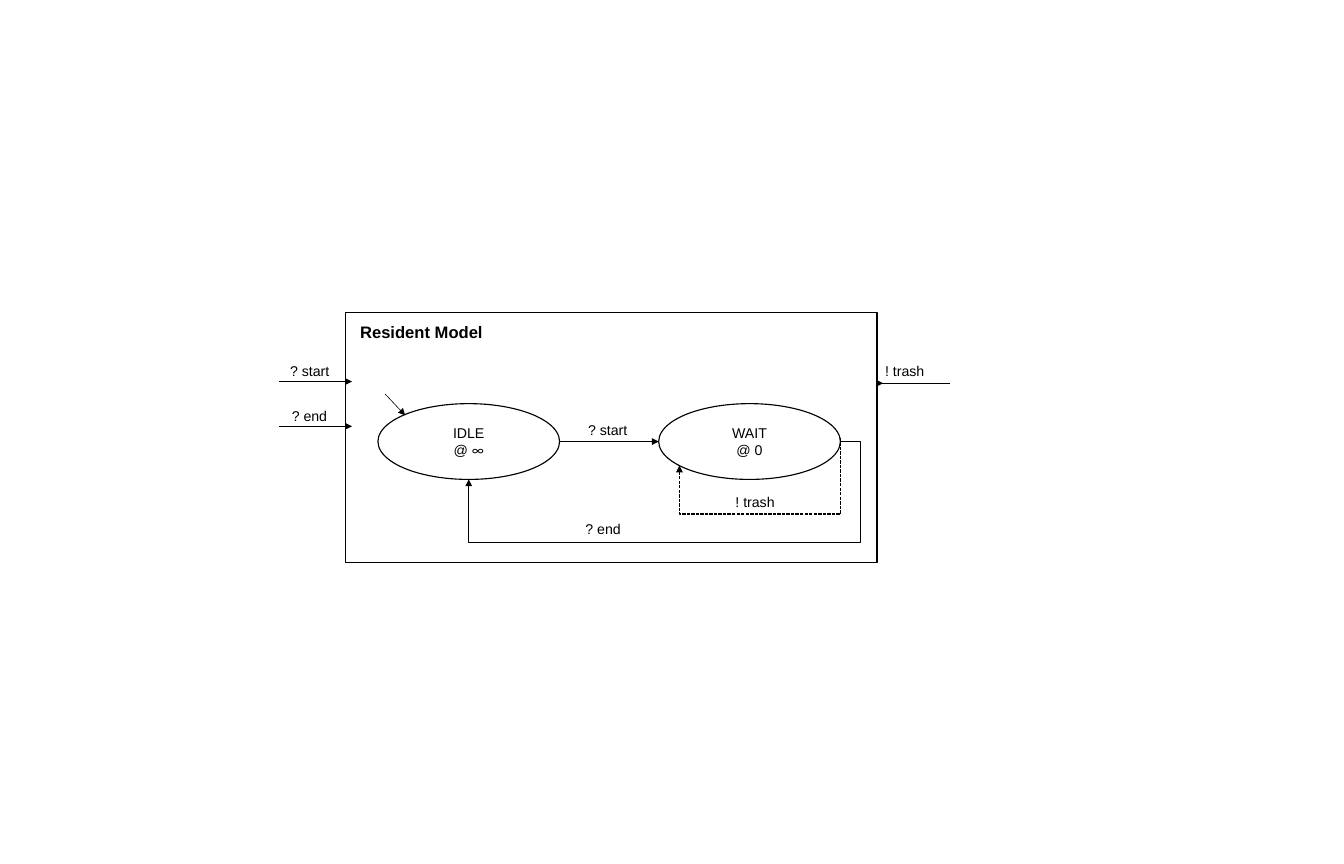
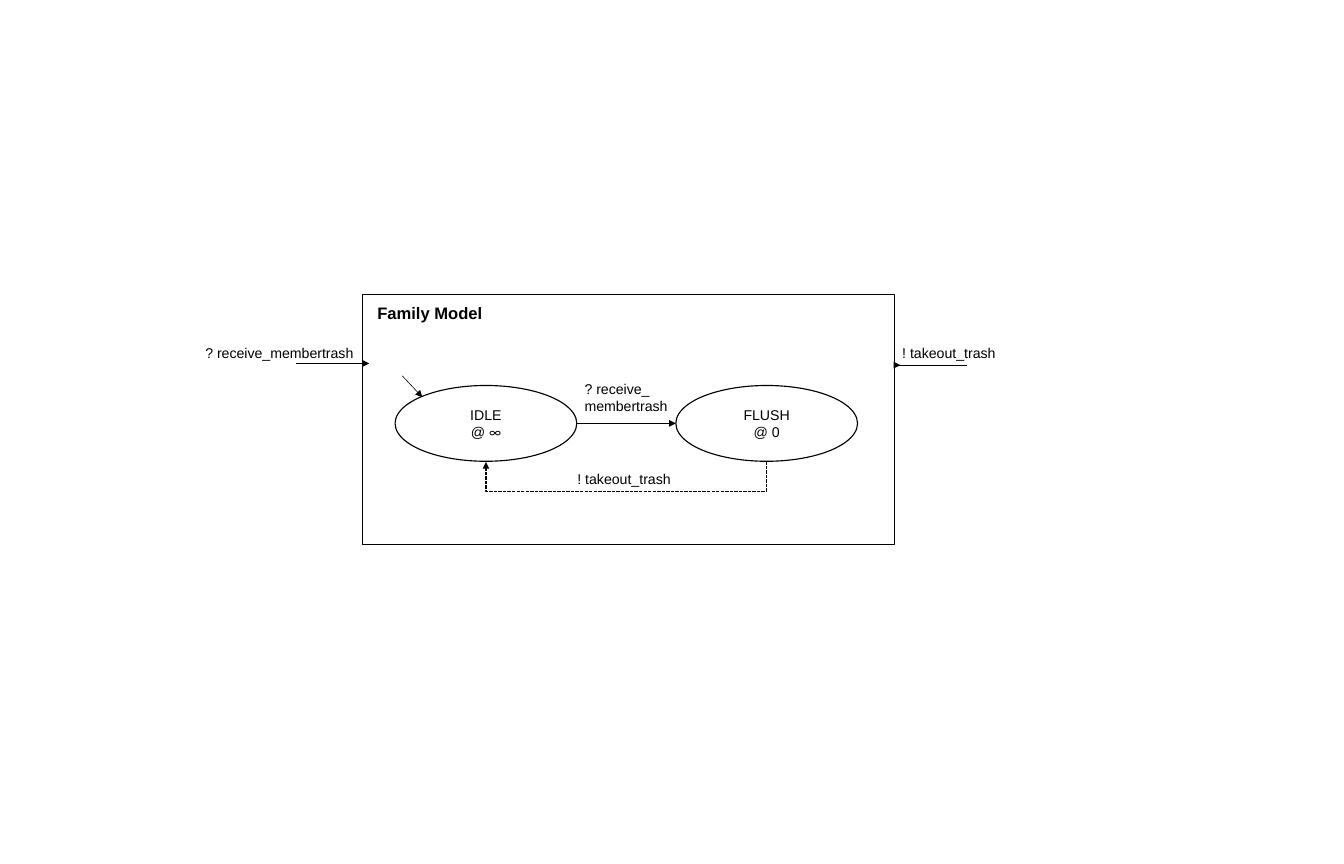
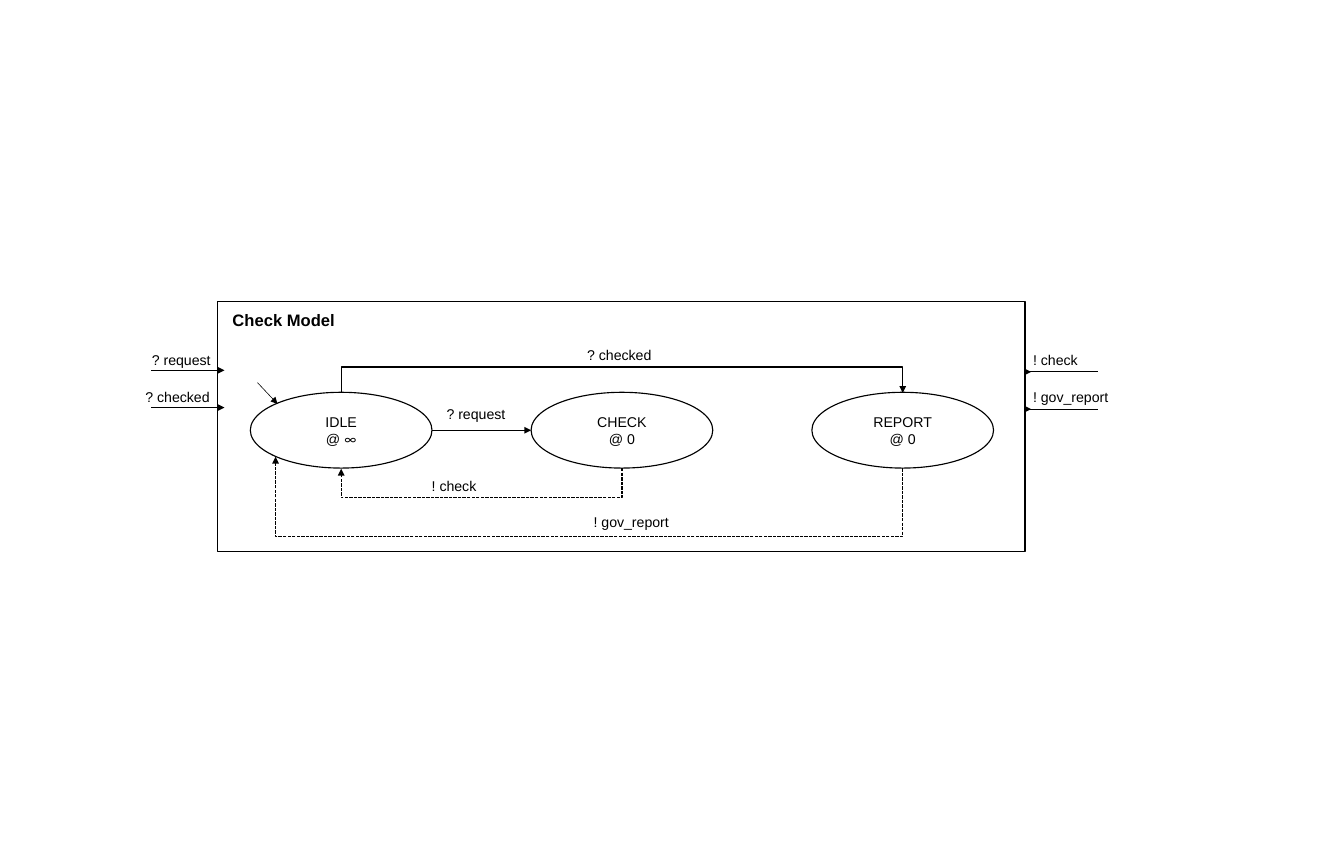
import pptx
import pptx.util
import pptx.dml.color
import pptx.enum.dml
import pptx.enum.shapes
import pptx.enum.text
import pptx.oxml.ns
import pptx.oxml.xmlchemy

Cm = pptx.util.Cm
Pt = pptx.util.Pt
SHAPE = pptx.enum.shapes.MSO_SHAPE
WIRE = pptx.enum.shapes.MSO_CONNECTOR
ALIGN = pptx.enum.text.PP_ALIGN

COLORS = {"ink": "000000", "paper": "FFFFFF"}
FONT = "Arial"
MATH = "Calibri"
BODY = 12.4
HEAD = 14.5
HIGH = 7.72
OVAL = (5.61, 2.34)
FIRST = (1, 2.81)
PITCH = 8.67
PORT = 2.13


def tint(name):
    return pptx.dml.color.RGBColor.from_string(COLORS[name])


def node(tag):
    return pptx.oxml.xmlchemy.OxmlElement(tag)


def style(par, size=BODY, bold=False):
    par.font.name = FONT
    par.font.size = Pt(size)
    par.font.bold = bold
    par.font.color.rgb = tint("ink")


def label(slide, box, text, size=BODY, bold=False):
    area = slide.shapes.add_textbox(*map(Cm, box)).text_frame
    area.word_wrap = True
    area.text = text
    for par in area.paragraphs:
        style(par, size, bold)


def solid(slide, kind, box, fill=None):
    shape = slide.shapes.add_shape(kind, *map(Cm, box))
    shape.shadow.inherit = False
    if fill:
        shape.fill.solid()
        shape.fill.fore_color.rgb = tint(fill)
    else:
        shape.fill.background()
    shape.line.color.rgb = tint("ink")
    shape.line.width = Pt(1)
    return shape


def wire(slide, start, end, kind=WIRE.STRAIGHT, head=True, dash=False, width=1):
    link = slide.shapes.add_connector(kind, *map(Cm, (*start, *end)))
    link.line.color.rgb = tint("ink")
    link.line.width = Pt(width)
    if dash:
        link.line.dash_style = pptx.enum.dml.MSO_LINE.SQUARE_DOT
    if head:
        tip = node("a:tailEnd")
        tip.set("type", "triangle")
        link.get_or_add_ln().append(tip)
    link.element.spPr.append(node("a:effectLst"))
    return link


def bend(link, kind, ratios, turn=0):
    props = link.element.spPr
    if turn:
        props.find(pptx.oxml.ns.qn("a:xfrm")).set("rot", str(turn * 60000))
    geom = props.find(pptx.oxml.ns.qn("a:prstGeom"))
    geom.set("prst", kind)
    marks = geom.find(pptx.oxml.ns.qn("a:avLst"))
    for num, ratio in enumerate(ratios, 1):
        guide = node("a:gd")
        guide.set("name", f"adj{num}")
        guide.set("fmla", f"val {round(ratio * 100000)}")
        marks.append(guide)


def bridge(slide, start, end, rail, dash=False):
    (x1, y1), (x2, y2) = start, end
    if y1 == y2:
        y2 += 0.02
    rise, span = abs(y2 - y1), abs(x2 - x1)
    left, top = (x1 + x2 - rise) / 2, (y1 + y2 - span) / 2
    near, far = left, left + rise
    if (x2 > x1) == (y2 > y1):
        near, far = far, near
    link = wire(slide, (near, top), (far, top + span), WIRE.ELBOW, dash=dash)
    bend(link, "bentConnector3", [(rail - y1) / (y2 - y1)], 270 if x2 > x1 else 90)


def loop(slide, start, end, out, rail, dash=False):
    (x1, y1), (x2, y2) = start, end
    link = wire(slide, start, end, WIRE.ELBOW, dash=dash)
    bend(link, "bentConnector4", [(out - x1) / (x2 - x1), (rail - y1) / (y2 - y1)])


def top(box):
    return box[0] + box[2] / 2, box[1]


def base(box):
    return box[0] + box[2] / 2, box[1] + box[3]


def left(box):
    return box[0], box[1] + box[3] / 2


def right(box):
    return box[0] + box[2], box[1] + box[3] / 2


def state(slide, box, name, hold):
    area = solid(slide, SHAPE.OVAL, box, "paper").text_frame
    area.vertical_anchor = pptx.enum.text.MSO_ANCHOR.MIDDLE
    area.text = name
    line = area.add_paragraph()
    line.add_run().text = "@ "
    sign = line.add_run()
    sign.text = hold
    if hold == "∞":
        sign.font.name = MATH
    for par in area.paragraphs:
        style(par)
        par.alignment = ALIGN.CENTER


def inputs(slide, box, ports):
    x, y = box[:2]
    for text, width, drop in ports:
        wire(slide, (x - 2.06, y + drop), (x + 0.2, y + drop))
        label(slide, (x + 0.05 - width, y + drop - 0.71, width + 0.1, 0.8), text)


def outputs(slide, box, ports):
    x, y = box[0] + box[2], box[1]
    for text, drop in ports:
        wire(slide, (x, y + drop), (x + 0.19, y + drop))
        wire(slide, (x, y + drop), (x + 2.26, y + drop), head=False)
        label(slide, (x, y + drop - 0.76, 3.56, 0.8), text)


def model(slide, box, title, states, ins, outs, notes):
    x, y = box[:2]
    solid(slide, SHAPE.RECTANGLE, box)
    label(slide, (x + 0.2, y + 0.15, 4.83, 0.91), title, HEAD, True)
    inputs(slide, box, ins)
    outputs(slide, box, outs)
    ovals = [(x + FIRST[0] + PITCH * num, y + FIRST[1], *OVAL)
             for num in range(len(states))]
    for oval, (name, hold) in zip(ovals, states):
        state(slide, oval, name, hold)
    wire(slide, (x + 1.22, y + 2.51), (x + 1.84, y + 3.17), width=0.5)
    wire(slide, right(ovals[0]), left(ovals[1]))
    for text, dx, dy, width in notes:
        label(slide, (x + dx, y + dy, width, 0.8), text)
    return ovals


def resident(slide, x, y):
    idle, wait = model(
        slide, (x, y, 16.41, HIGH), "Resident Model",
        [("IDLE", "∞"), ("WAIT", "0")],
        [("? start", 2.01, PORT), ("? end", 1.96, 3.51)],
        [("! trash", 2.18)],
        [("? start", 7.24, 3.23, 2.1), ("? end", 7.16, 6.3, 1.8),
         ("! trash", 11.79, 5.44, 2.1)])
    side = right(wait)
    loop(slide, (side[0], side[1] - 0.12), (x + 10.31, y + 4.72),
         side[0], y + 6.22, True)
    loop(slide, side, base(idle), x + 15.9, y + 7.09)


def family(slide, x, y):
    idle, flush = model(
        slide, (x, y, 16.41, HIGH), "Family Model",
        [("IDLE", "∞"), ("FLUSH", "0")],
        [("? receive_membertrash", 5.16, PORT)],
        [("! takeout_trash", 2.18)],
        [("? receive_\nmembertrash", 6.6, 2.54, 3.48),
         ("! takeout_trash", 6.38, 5.31, 3.56)])
    bridge(slide, base(flush), base(idle), y + 6.07, True)


def check(slide, x, y):
    idle, test, report = model(
        slide, (x, y, 24.92, HIGH), "Check Model",
        [("IDLE", "∞"), ("CHECK", "0"), ("REPORT", "0")],
        [("? request", 2.34, PORT), ("? checked", 2.54, 3.28)],
        [("! check", 2.18), ("! gov_report", 3.33)],
        [("? request", 6.81, 3.1, 3.48), ("! check", 6.35, 5.31, 3.56),
         ("! gov_report", 11.35, 6.43, 3.56), ("? checked", 11.15, 1.27, 2.7)])
    bridge(slide, base(test), base(idle), y + 6.07, True)
    bridge(slide, base(report), (x + 1.78, y + 4.8), y + 7.26, True)
    bridge(slide, top(idle), top(report), y + 2.03)


def main():
    deck = pptx.Presentation()
    deck.slide_width = Cm(41.5)
    deck.slide_height = Cm(26.67)
    for draw, x, y in ((resident, 10.67, 9.65), (family, 11.2, 9.09),
                       (check, 6.73, 9.3)):
        draw(deck.slides.add_slide(deck.slide_layouts[6]), x, y)
    deck.save("out.pptx")


if __name__ == "__main__":
    main()
